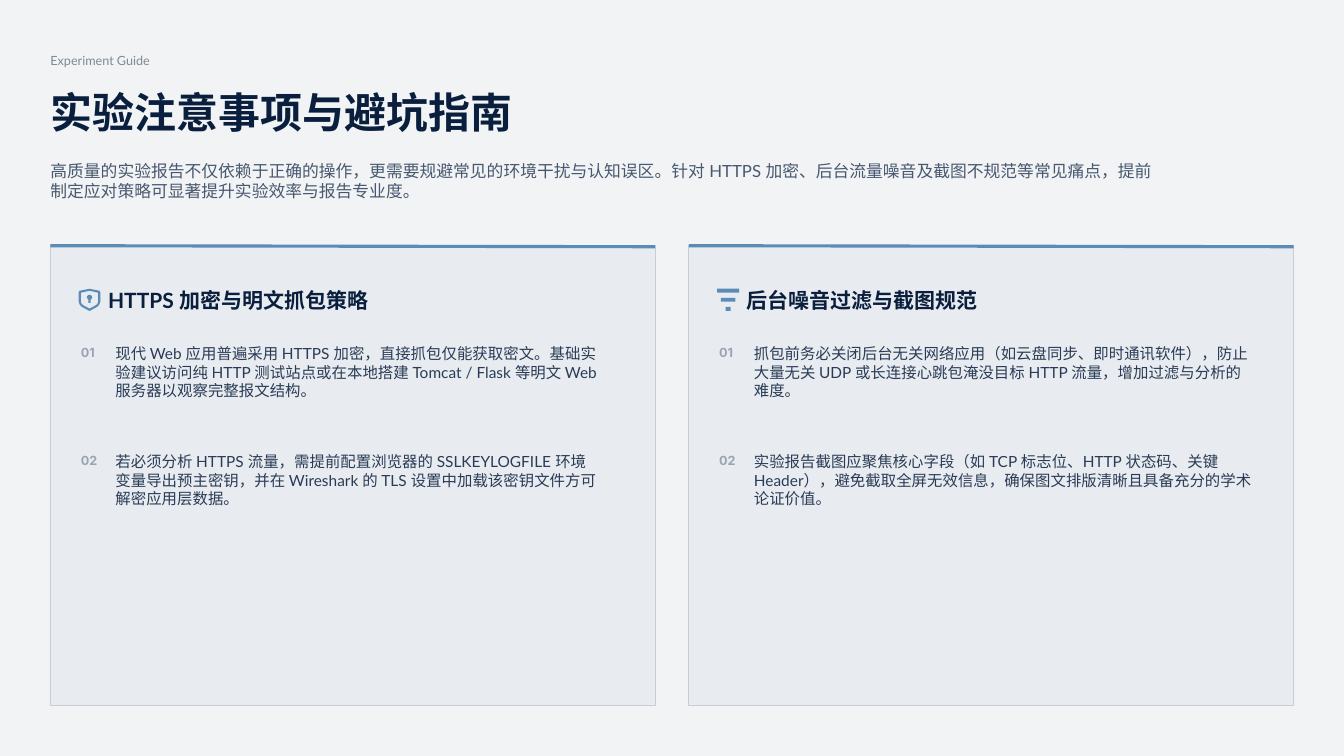
import pptx
import pptx.dml.color
import pptx.enum.shapes
import pptx.enum.text
import pptx.oxml.ns
import pptx.util
from lxml import etree

RGB = pptx.dml.color.RGBColor
PAPER = RGB(0xF1, 0xF3, 0xF5)
CARD = RGB(0xE8, 0xEB, 0xEF)
BORDER = RGB(0xC5, 0xCD, 0xD6)
NAVY = RGB(0x0A, 0x1F, 0x3D)
BLUE = RGB(0x5B, 0x8C, 0xB8)

PX = 9525  # EMU per px, 96 px to the inch
MARGIN = 48
CARD_TOP, CARD_WIDTH, CARD_HEIGHT, CARD_PITCH = 234, 576, 438, 608
TIP_TOP, TIP_PITCH = 328, 103
ICON_UNIT = 21 * PX / 220  # icons are drawn on a grid 220 units wide

# Icon outlines; inner contours cut holes
SHIELD = [
    [(10, 20), (108, 0), (206, 20), (216, 32), (216, 130), (206, 158),
     (186, 180), (108, 222), (30, 180), (10, 158), (0, 130), (0, 32)],
    [(194, 40), (108, 20), (22, 40), (22, 130), (29, 149), (45, 164),
     (108, 198), (171, 164), (187, 149), (194, 130)],
    [(108, 60), (122, 64), (132, 75), (134, 88), (128, 100), (119, 107),
     (119, 142), (97, 142), (97, 107), (88, 100), (82, 88), (84, 75), (94, 64)],
]
FILTER = [
    [(left, top), (220 - left, top), (220 - left, top + 38), (left, top + 38)]
    for left, top in [(0, 0), (38, 91), (85, 182)]
]

CARDS = [
    ("HTTPS 加密与明文抓包策略", SHIELD, [
        "现代 Web 应用普遍采用 HTTPS 加密，直接抓包仅能获取密文。基础实\n"
        "验建议访问纯 HTTP 测试站点或在本地搭建 Tomcat / Flask 等明文 Web\n"
        "服务器以观察完整报文结构。",
        "若必须分析 HTTPS 流量，需提前配置浏览器的 SSLKEYLOGFILE 环境\n"
        "变量导出预主密钥，并在 Wireshark 的 TLS 设置中加载该密钥文件方可\n"
        "解密应用层数据。",
    ]),
    ("后台噪音过滤与截图规范", FILTER, [
        "抓包前务必关闭后台无关网络应用（如云盘同步、即时通讯软件），防止\n"
        "大量无关 UDP 或长连接心跳包淹没目标 HTTP 流量，增加过滤与分析的\n"
        "难度。",
        "实验报告截图应聚焦核心字段（如 TCP 标志位、HTTP 状态码、关键\n"
        "Header），避免截取全屏无效信息，确保图文排版清晰且具备充分的学术\n"
        "论证价值。",
    ]),
]


def px(*lengths):
    return [pptx.util.Emu(length * PX) for length in lengths]


def fill_text(box, text, size, bold=False, alpha=100, font="Lato", wrap=False):
    frame = box.text_frame
    frame.margin_left = frame.margin_top = frame.margin_right = frame.margin_bottom = 0
    frame.auto_size = pptx.enum.text.MSO_AUTO_SIZE.NONE
    frame.vertical_anchor = pptx.enum.text.MSO_ANCHOR.TOP
    frame.word_wrap = wrap
    frame.text = text
    for paragraph in frame.paragraphs:
        paragraph.alignment = pptx.enum.text.PP_ALIGN.LEFT
        for run in paragraph.runs:
            run.font.name = font
            run.font.size = pptx.util.Pt(size)
            run.font.bold = bold
            run.font.color.rgb = NAVY
            if alpha < 100:
                color = run.font.fill._xPr.find(".//" + pptx.oxml.ns.qn("a:srgbClr"))
                etree.SubElement(color, pptx.oxml.ns.qn("a:alpha"), val=str(alpha * 1000))


def add_text(slide, left, top, width, height, text, size, **style):
    box = slide.shapes.add_textbox(*px(left, top, width, height))
    fill_text(box, text, size, **style)


def add_panel(slide, left):
    panel = slide.shapes.add_shape(
        pptx.enum.shapes.MSO_SHAPE.RECTANGLE,
        *px(left, CARD_TOP, CARD_WIDTH, CARD_HEIGHT))
    panel.shadow.inherit = False
    panel.fill.solid()
    panel.fill.fore_color.rgb = CARD
    panel.line.color.rgb = BORDER
    panel.line.width = pptx.util.Pt(0.75)


def add_accent(slide, left):
    accent = slide.shapes.add_connector(
        pptx.enum.shapes.MSO_CONNECTOR.STRAIGHT,
        *px(left, CARD_TOP, left + CARD_WIDTH, CARD_TOP + 1))
    accent.line.color.rgb = BLUE
    accent.line.width = pptx.util.Pt(2.25)
    etree.SubElement(accent._element.spPr, pptx.oxml.ns.qn("a:effectLst"))


def add_icon(slide, left, top, contours):
    builder = slide.shapes.build_freeform(*contours[0][0], scale=ICON_UNIT)
    builder.add_line_segments(contours[0][1:], close=True)
    for contour in contours[1:]:
        builder.move_to(*contour[0])
        builder.add_line_segments(contour[1:], close=True)
    icon = builder.convert_to_shape(*px(left, top))
    icon.shadow.inherit = False
    icon.fill.solid()
    icon.fill.fore_color.rgb = BLUE
    icon.line.fill.background()


def add_card(slide, left, heading, icon, tips):
    add_panel(slide, left)
    add_accent(slide, left)
    add_icon(slide, left + 27, 275, icon)
    add_text(slide, left + 55, 274, 253, 22, heading, 15, bold=True)
    for index, tip in enumerate(tips):
        top = TIP_TOP + index * TIP_PITCH
        add_text(slide, left + 29, top, 21, 15, f"{index + 1:02}", 9,
                 bold=True, alpha=35, font="Inter")
        add_text(slide, left + 62, top, 485, 69, tip, 11, alpha=85, wrap=True)


def main():
    deck = pptx.Presentation()
    deck.slide_width, deck.slide_height = px(1280, 720)
    slide = deck.slides.add_slide(deck.slide_layouts[5])
    slide.background.fill.solid()
    slide.background.fill.fore_color.rgb = PAPER

    # Header
    add_text(slide, MARGIN, 50, 1184, 14, "Experiment Guide", 9, alpha=50)
    title = slide.shapes.title
    title.left, title.top, title.width, title.height = px(MARGIN, 82, 1184, 44)
    fill_text(title, "实验注意事项与避坑指南", 30, bold=True)
    add_text(slide, MARGIN, 153, 1232, 44,
             "高质量的实验报告不仅依赖于正确的操作，更需要规避常见的环境干扰与认知误区。"
             "针对 HTTPS 加密、后台流量噪音及截图不规范等常见痛点，提前\n"
             "制定应对策略可显著提升实验效率与报告专业度。",
             12, alpha=72, wrap=True)

    # Cards
    for column, (heading, icon, tips) in enumerate(CARDS):
        add_card(slide, MARGIN + column * CARD_PITCH, heading, icon, tips)

    deck.save("out.pptx")


if __name__ == "__main__":
    main()
